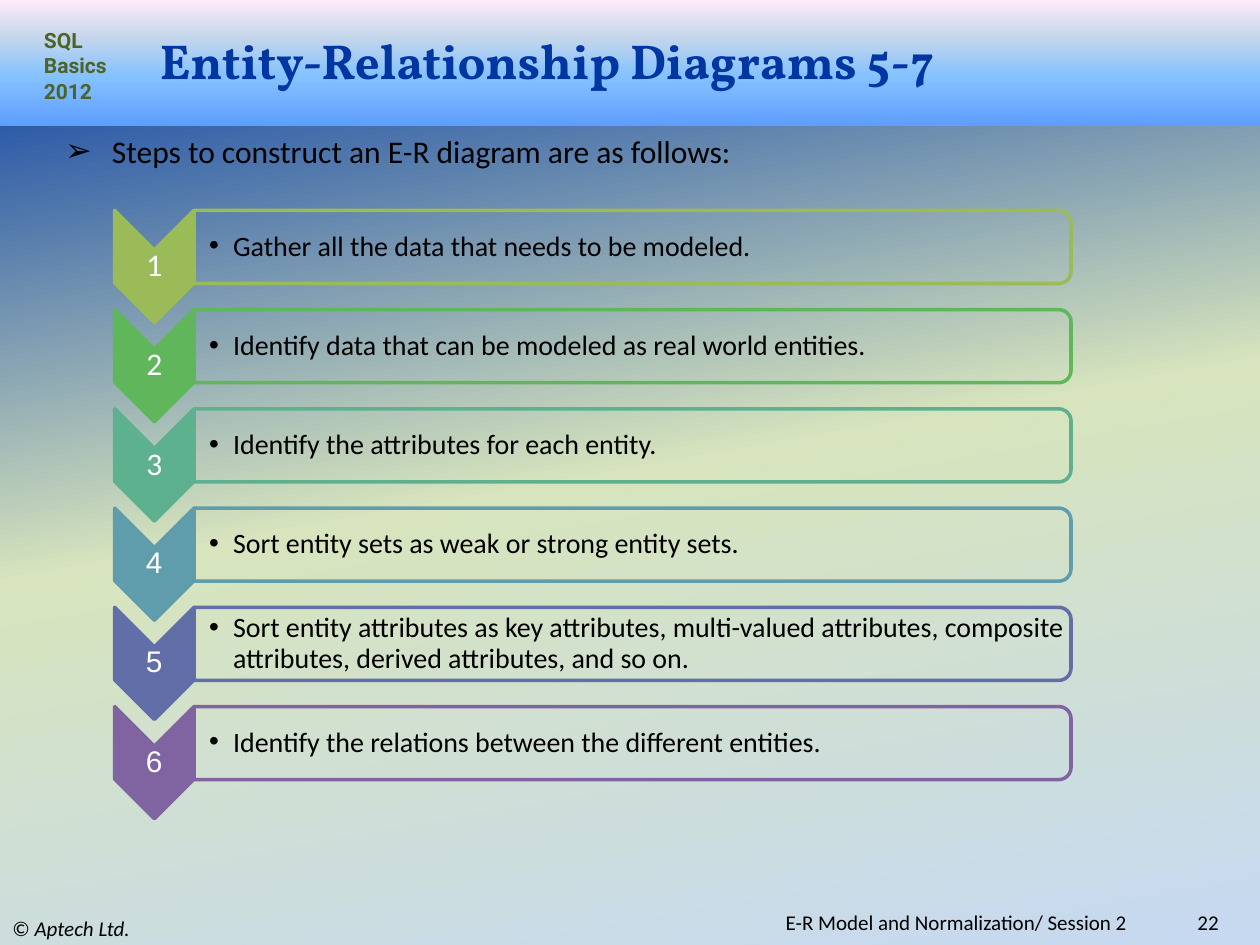
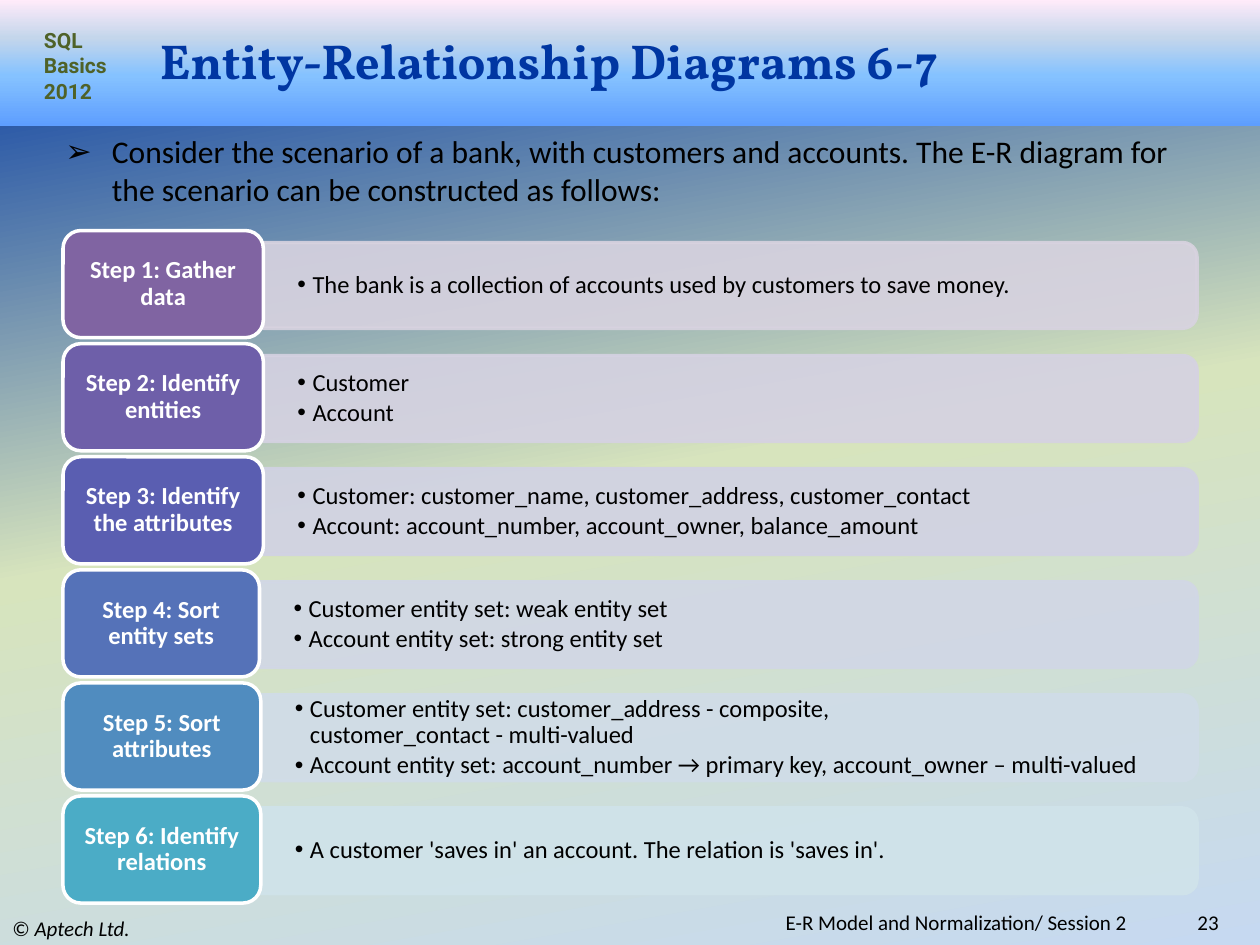
"""Two slides on building entity-relationship diagrams."""
from dataclasses import dataclass

from lxml import etree
from pptx import Presentation
from pptx.dml.color import RGBColor
from pptx.enum.shapes import MSO_SHAPE
from pptx.enum.text import MSO_ANCHOR, PP_ALIGN
from pptx.oxml.ns import qn
from pptx.util import Inches, Pt

RECTANGLE, ROUNDED = MSO_SHAPE.RECTANGLE, MSO_SHAPE.ROUNDED_RECTANGLE
CHEVRON, ROUND_TOP = MSO_SHAPE.CHEVRON, MSO_SHAPE.ROUND_2_SAME_RECTANGLE
TOP, MIDDLE = MSO_ANCHOR.TOP, MSO_ANCHOR.MIDDLE
LEFT, CENTER, RIGHT = PP_ALIGN.LEFT, PP_ALIGN.CENTER, PP_ALIGN.RIGHT

COLUMNS, ROWS, CELL = 40, 30, Inches(0.25)

BLACK = RGBColor(0x00, 0x00, 0x00)
WHITE = RGBColor(0xFF, 0xFF, 0xFF)
NAVY = RGBColor(0x00, 0x36, 0xA2)
OLIVE = RGBColor(0x4F, 0x62, 0x28)
PALE_GREEN = RGBColor(0xD7, 0xE4, 0xBD)
PALE_BLUE = RGBColor(0xC6, 0xD9, 0xF1)
BAND_BLUE = RGBColor(0x5E, 0x9E, 0xFF)
BAND_SKY = RGBColor(0x85, 0xC2, 0xFF)
BAND_MIST = RGBColor(0xC4, 0xD6, 0xEB)
BAND_PINK = RGBColor(0xFF, 0xEB, 0xFA)
BACKGROUND_STOPS = [(0, NAVY), (50, PALE_GREEN), (100, PALE_BLUE)]
BAND_STOPS = [(0, BAND_BLUE), (40, BAND_SKY), (70, BAND_MIST), (100, BAND_PINK)]

TITLE = {"name": "Vollkorn", "size": Pt(28), "bold": True}
COURSE = {"name": "Roboto", "size": Pt(12), "bold": True}
FOOTER = {"name": "Calibri", "size": Pt(12)}
LEAD = {"name": "Calibri", "size": Pt(18)}
STEP = {"name": "Calibri", "size": Pt(16)}
NUMBER = {"name": "Calibri", "size": Pt(18)}
NUMBER_ARIAL = {"name": "Arial", "size": Pt(17)}
DETAIL = {"name": "Calibri", "size": Pt(14)}
CHIP = {"name": "Calibri", "size": Pt(14), "bold": True}

DEFAULT_INSETS = (0.1, 0.05, 0.1, 0.05)
THIN_INSETS = (0.01, 0.01, 0.01, 0.01)

CONSTRUCTION_STEPS = [
    ("Gather all the data that needs to be modeled.",
     RGBColor(0x9B, 0xBB, 0x59), NUMBER),
    ("Identify data that can be modeled as real world entities.",
     RGBColor(0x5F, 0xB6, 0x5B), NUMBER),
    ("Identify the attributes for each entity.",
     RGBColor(0x5D, 0xB1, 0x8E), NUMBER),
    ("Sort entity sets as weak or strong entity sets.",
     RGBColor(0x5F, 0x9D, 0xAC), NUMBER_ARIAL),
    ("Sort entity attributes as key attributes, multi-valued attributes, "
     "composite attributes, derived attributes, and so on.",
     RGBColor(0x62, 0x6E, 0xA7), NUMBER_ARIAL),
    ("Identify the relations between the different entities.",
     RGBColor(0x80, 0x64, 0xA2), NUMBER_ARIAL),
]

BANK_STEPS = [
    ("Step 1: Gather data", 6.36,
     RGBColor(0x80, 0x64, 0xA2), RGBColor(0xD8, 0xD3, 0xE0),
     ["The bank is a collection of accounts used by customers to save money."]),
    ("Step 2: Identify entities", 6.36,
     RGBColor(0x6E, 0x5F, 0xA9), RGBColor(0xD5, 0xD2, 0xE2),
     ["Customer", "Account"]),
    ("Step 3: Identify the attributes", 6.36,
     RGBColor(0x5A, 0x5E, 0xB1), RGBColor(0xD1, 0xD2, 0xE4),
     ["Customer: customer_name, customer_address, customer_contact",
      "Account: account_number, account_owner, balance_amount"]),
    ("Step 4: Sort entity sets", 6.24,
     RGBColor(0x55, 0x72, 0xB8), RGBColor(0xD1, 0xD7, 0xE6),
     ["Customer entity set: weak entity set",
      "Account entity set: strong entity set"]),
    ("Step 5: Sort attributes", 6.28,
     RGBColor(0x50, 0x8C, 0xBF), RGBColor(0xD0, 0xDC, 0xE8),
     ["Customer entity set: customer_address - composite,\v"
      "customer_contact - multi-valued",
      "Account entity set: account_number → primary key, "
      "account_owner – multi-valued"]),
    ("Step 6: Identify relations", 6.28,
     RGBColor(0x4B, 0xAC, 0xC6), RGBColor(0xD0, 0xE3, 0xEA),
     ["A customer 'saves in' an account. The relation is 'saves in'."]),
]


@dataclass
class Box:
    """A region of the slide grid, in columns and rows."""
    left: float
    top: float
    width: float
    height: float

    def area(self, left, top, width, height):
        """Return a box offset from this one's top left corner."""
        return Box(self.left + left, self.top + top, width, height)

    def row(self, index, count):
        """Return one of several equal rows."""
        height = self.height / count
        return self.area(0, index * height, self.width, height)

    def lengths(self):
        """Return the box as slide lengths."""
        return [round(value * CELL)
                for value in (self.left, self.top, self.width, self.height)]


SLIDE = Box(0, 0, COLUMNS, ROWS)


def apply_gradient(fill, owner, stops, angle):
    """Fill with colour stops along a clockwise angle."""
    fill.gradient()
    fill.gradient_angle = 360 - angle
    stop_list = owner.find(".//" + qn("a:gsLst"))
    for stop in list(stop_list):
        stop_list.remove(stop)
    for percent, color in stops:
        stop = etree.SubElement(stop_list, qn("a:gs"), pos=str(percent * 1000))
        etree.SubElement(stop, qn("a:srgbClr"), val=str(color))


def add_plain_shape(slide, kind, box, fill=None, line=None, turned=False):
    """Add a flat shape, optionally turned a quarter inside its box."""
    if turned:
        shift = (box.width - box.height) / 2
        box = box.area(shift, -shift, box.height, box.width)
    shape = slide.shapes.add_shape(kind, *box.lengths())
    shape.shadow.inherit = False
    shape.rotation = 90 if turned else 0
    if fill is None:
        shape.fill.background()
    else:
        shape.fill.solid()
        shape.fill.fore_color.rgb = fill
    if line is None:
        shape.line.fill.background()
    else:
        shape.line.color.rgb = line
        shape.line.width = Pt(2)
    return shape


def format_runs(paragraph, style, color):
    """Apply a font style and colour to the runs of a paragraph."""
    for run in paragraph.runs:
        for name, value in style.items():
            setattr(run.font, name, value)
        run.font.color.rgb = color


def set_bullet(paragraph, character, indent):
    """Give a paragraph a hanging bullet."""
    properties = paragraph._p.get_or_add_pPr()
    properties.set("marL", str(Inches(indent)))
    properties.set("indent", str(-Inches(indent)))
    etree.SubElement(properties, qn("a:buFont"), typeface="Arial")
    etree.SubElement(properties, qn("a:buChar"), char=character)


def write_text(shape, texts, style, color=BLACK, anchor=MIDDLE, align=LEFT,
               insets=DEFAULT_INSETS, bullet=None, spacing=None, after=None):
    """Write paragraphs of one style into a shape."""
    frame = shape.text_frame
    left, top, right, bottom = map(Inches, insets)
    frame_format = {"word_wrap": True, "vertical_anchor": anchor,
                    "margin_left": left, "margin_top": top,
                    "margin_right": right, "margin_bottom": bottom}
    for name, value in frame_format.items():
        setattr(frame, name, value)
    for index, text in enumerate(texts):
        paragraph = frame.add_paragraph() if index else frame.paragraphs[0]
        paragraph.text = text
        if bullet:
            set_bullet(paragraph, *bullet)
        paragraph_format = {"alignment": align, "line_spacing": spacing,
                            "space_after": after}
        for name, value in paragraph_format.items():
            setattr(paragraph, name, value)
        format_runs(paragraph, style, color)


def add_text(slide, box, texts, style, **options):
    """Add a text box and return it."""
    shape = slide.shapes.add_textbox(*box.lengths())
    write_text(shape, texts, style, **options)
    return shape


def add_header(slide, box, title):
    """Draw the title band with the course label."""
    band = add_plain_shape(slide, RECTANGLE, box)
    apply_gradient(band.fill, band._element, BAND_STOPS, 270)
    add_text(slide, box.area(1, 0.68, 3, 2.84), ["SQL Basics 2012"], COURSE,
             color=OLIVE, anchor=TOP)
    add_text(slide, box.area(4.68, 1, 33.32, 1.8), [title], TITLE, color=NAVY)


def add_footer(slide, box, number):
    """Draw the copyright line, session name and slide number."""
    notice = add_text(slide, box.area(0, 0, 13.32, 1.08), ["© "], FOOTER)
    paragraph = notice.text_frame.paragraphs[0]
    owner = paragraph.add_run()
    owner.text = "Aptech Ltd."
    owner.font.italic = True
    format_runs(paragraph, FOOTER, BLACK)
    add_text(slide, box.area(10, 0, 26.32, 0.72),
             ["E-R Model and Normalization/ Session 2 "], FOOTER, align=RIGHT)
    add_text(slide, box.area(35.68, 0, 3.4, 0.72), [number], FOOTER, align=RIGHT)


def add_lesson_slide(presentation, title, number, lead, lead_height):
    """Add a slide with the shared background, header, lead and footer."""
    slide = presentation.slides.add_slide(presentation.slide_layouts[6])
    apply_gradient(slide.background.fill, slide._element, BACKGROUND_STOPS, 80)
    add_header(slide, SLIDE.area(0, 0, COLUMNS, 4), title)
    add_footer(slide, SLIDE.area(0, 28.92, COLUMNS, 1.08), number)
    add_text(slide, SLIDE.area(1.68, 4, 36.32, lead_height), [lead], LEAD,
             anchor=TOP, bullet=("➢", 0.37))
    return slide


def add_construction_steps(slide, box):
    """Draw the numbered chevrons with their outlined panels."""
    for index, (text, color, number_style) in enumerate(CONSTRUCTION_STEPS):
        row = box.row(index, len(CONSTRUCTION_STEPS))
        chevron_width = 2.52
        add_plain_shape(slide, CHEVRON, row.area(0, 0, chevron_width, 3.56),
                        color, color, turned=True)
        add_text(slide, row.area(0, 1.24, chevron_width, 1.08), [str(index + 1)],
                 number_style, color=WHITE, align=CENTER, insets=THIN_INSETS,
                 spacing=0.9)
        panel = row.area(chevron_width, 0, row.width - chevron_width, 2.32)
        add_plain_shape(slide, ROUND_TOP, panel, line=color, turned=True)
        add_text(slide, panel.area(0, 0, panel.width - 0.12, panel.height),
                 [text], STEP, insets=(0.12, 0.01, 0.01, 0.01),
                 bullet=("•", 0.19), spacing=0.9)


def add_bank_steps(slide, box):
    """Draw the step chips with their translucent detail panels."""
    for index, (label, chip_width, color, tint, details) in enumerate(BANK_STEPS):
        row = box.row(index, len(BANK_STEPS))
        panel_box = row.area(chip_width, 0.38, row.width - chip_width, 2.72)
        panel = add_plain_shape(slide, ROUND_TOP, panel_box, tint, tint, turned=True)
        for tint_element in panel._element.spPr.iter(qn("a:srgbClr")):
            etree.SubElement(tint_element, qn("a:alpha"), val="90000")
        add_text(slide, panel_box, details, DETAIL, insets=(0.27, 0, 0.27, 0),
                 bullet=("•", 0.12), spacing=0.9, after=Pt(2))
        chip = add_plain_shape(slide, ROUNDED, row.area(0, 0, chip_width, 3.4),
                               color, WHITE)
        write_text(chip, [label], CHIP, color=WHITE, align=CENTER,
                   insets=(0.1, 0.07, 0.1, 0.07), spacing=0.9)


def main():
    """Build and save the presentation."""
    presentation = Presentation()
    presentation.slide_width = COLUMNS * CELL
    presentation.slide_height = ROWS * CELL
    construction = add_lesson_slide(
        presentation, "Entity-Relationship Diagrams 5-7", "22",
        "Steps to construct an E-R diagram are as follows:", 1.6)
    add_construction_steps(construction, SLIDE.area(3.64, 6.68, 30.36, 18.9))
    bank = add_lesson_slide(
        presentation, "Entity-Relationship Diagrams 6-7", "23",
        "Consider the scenario of a bank, with customers and accounts. The E-R "
        "diagram for the scenario can be constructed as follows:", 2.84)
    add_bank_steps(bank, SLIDE.area(2, 7.32, 36, 21.54))
    presentation.save("out.pptx")


if __name__ == "__main__":
    main()
